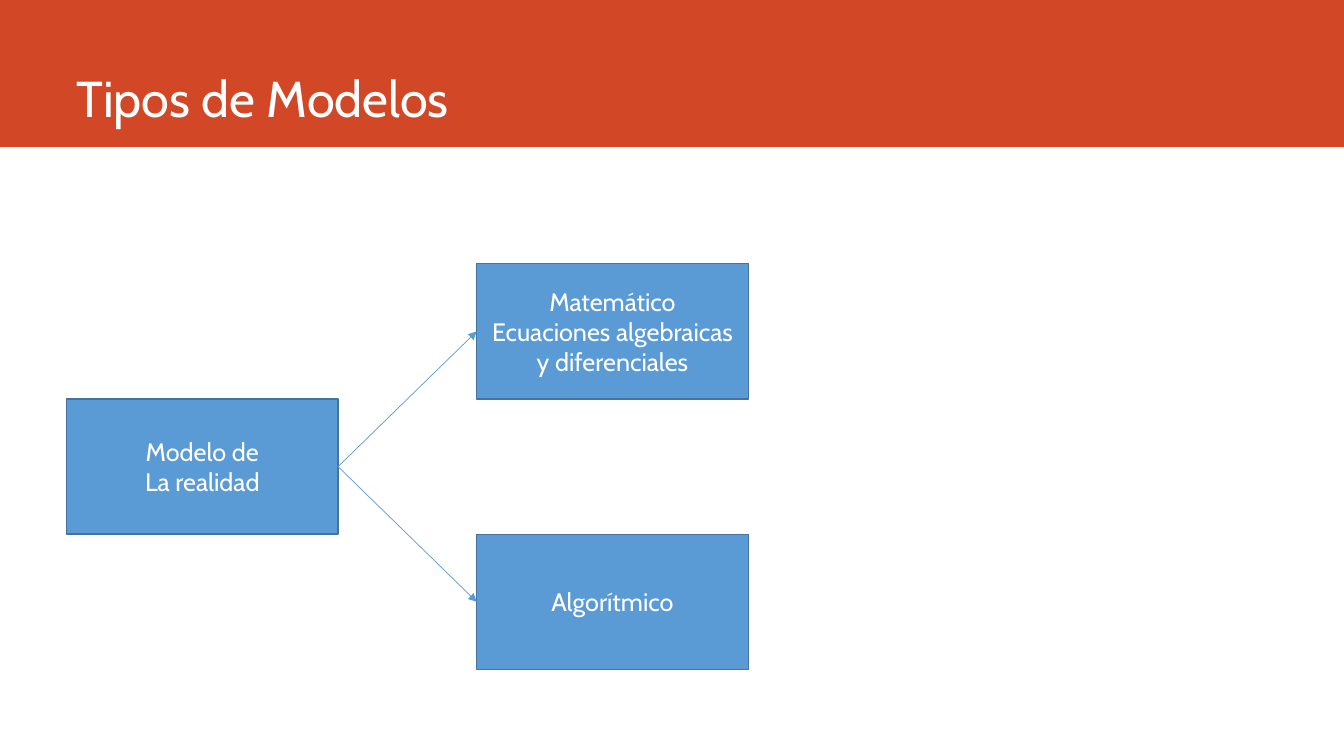
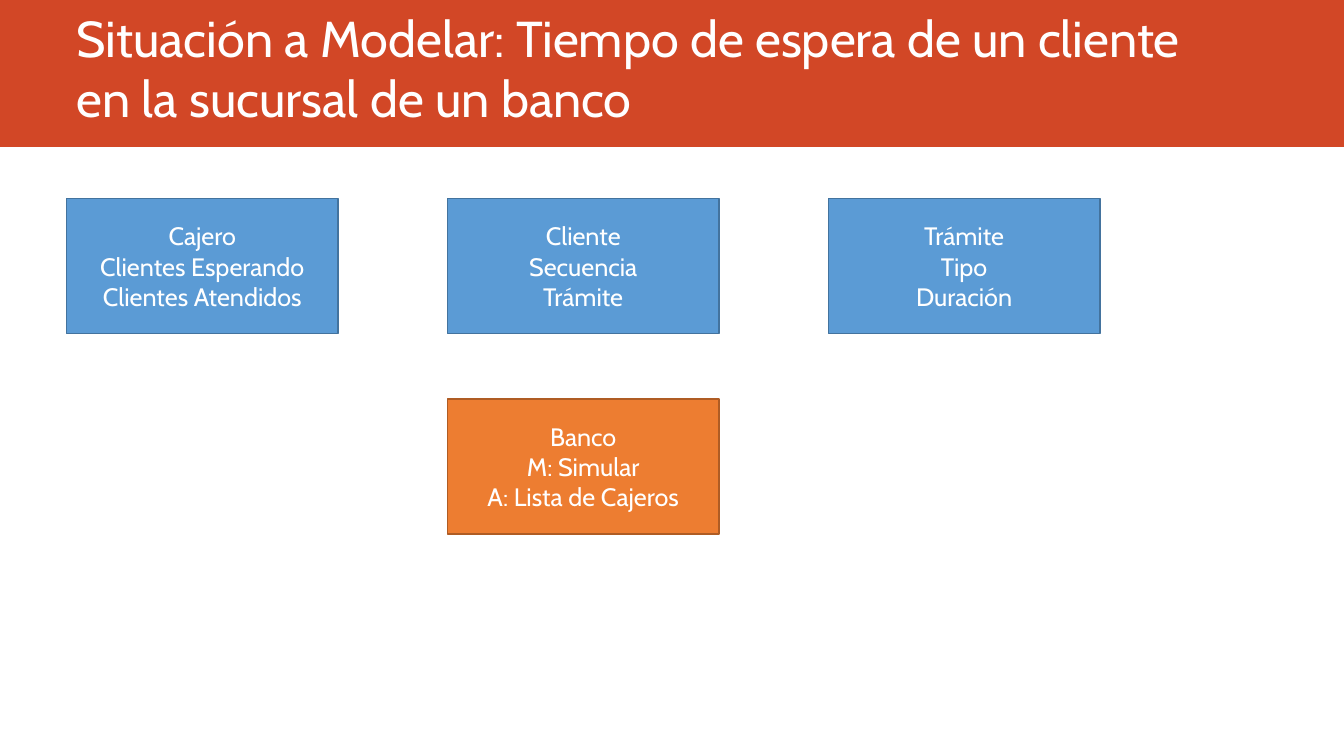
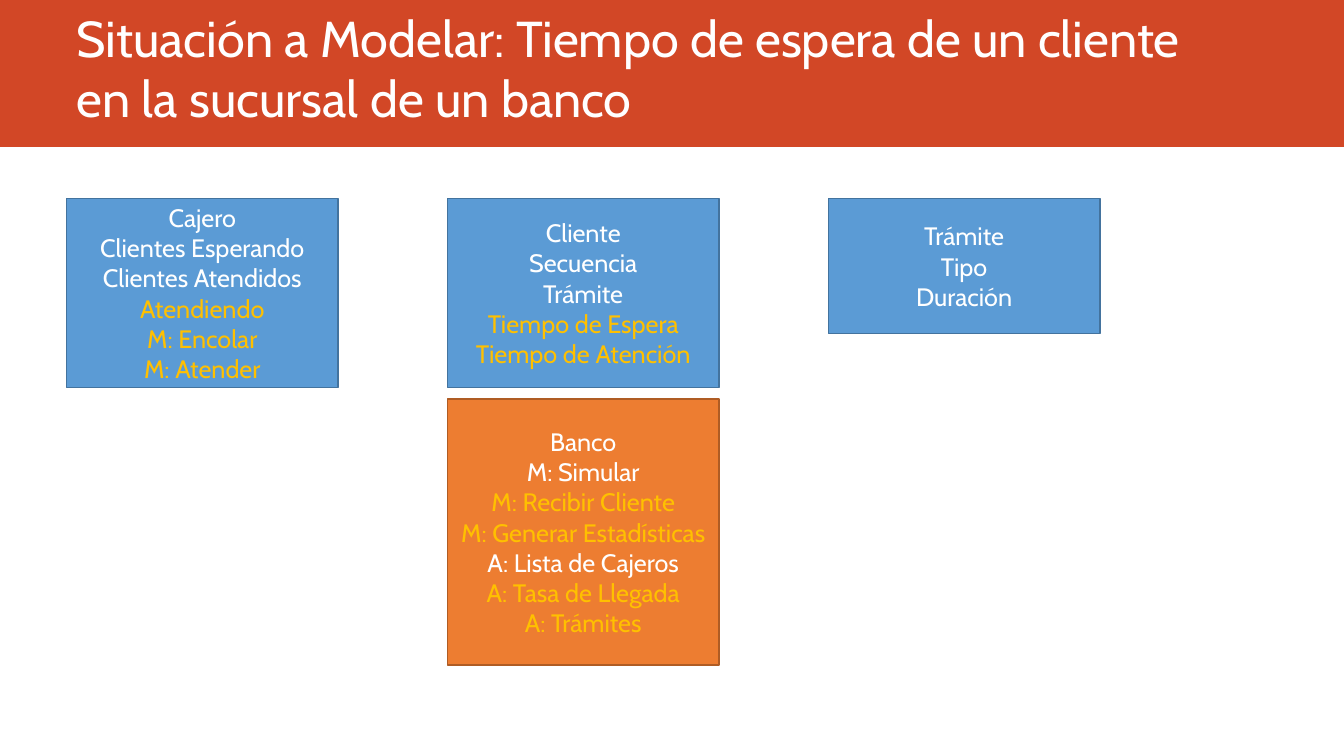
from lxml.etree import SubElement
from pptx import Presentation
from pptx.dml.color import RGBColor
from pptx.enum.shapes import MSO_CONNECTOR, MSO_SHAPE
from pptx.enum.text import MSO_ANCHOR, MSO_AUTO_SIZE, PP_ALIGN
from pptx.oxml.ns import qn
from pptx.util import Pt

# Content: a line starting with NEW is highlighted
NEW = "+"
MODEL_TITLE = "Tipos de Modelos"
REALITY = ["Modelo de", "La realidad"]
MODEL_TYPES = [
    ["Matemático", "Ecuaciones algebraicas y diferenciales"],
    ["Algorítmico"],
]
BANK_TITLE = "Situación a Modelar: Tiempo de espera de un cliente en la sucursal de un banco"
TELLER = ["Cajero", "Clientes Esperando", "Clientes Atendidos"]
CLIENT = ["Cliente", "Secuencia", "Trámite"]
TASK = ["Trámite", "Tipo", "Duración"]
BANK = ["Banco", "M: Simular", "A: Lista de Cajeros"]
FULL_TELLER = TELLER + ["+Atendiendo", "+M: Encolar", "+M: Atender"]
FULL_CLIENT = CLIENT + ["+Tiempo de Espera", "+Tiempo de Atención"]
FULL_BANK = ["Banco", "M: Simular", "+M: Recibir Cliente", "+M: Generar Estadísticas",
             "A: Lista de Cajeros", "+A: Tasa de Llegada", "+A: Trámites"]

# Shared style, lengths in points
FONT = "Cabin"
WHITE, HIGHLIGHT, BAND = "FFFFFF", "FFC000", "D24726"
BLUE = ("5B9BD5", "43739E")
ORANGE = ("ED7D31", "AF5C24")
SLIDE_WIDTH, SLIDE_HEIGHT, BAND_HEIGHT = 960, 540, 105
LEFT, BOX_WIDTH, BOX_HEIGHT = 47.5, 194, 96.6
COLUMN_STEP, TALL_HEIGHT, BANK_HEIGHT = 272.1, 135, 190
CLASS_TOP, MIDDLE_TOP, TYPE_LEFT = 141.8, 285, 340.5


def color(value):
    return RGBColor.from_string(value)


def style_font(font, size, value):
    font.name, font.size = FONT, Pt(size)
    font.color.rgb = color(value)


def add_band(page, layout):
    band = page.shapes.add_shape(MSO_SHAPE.RECTANGLE, 0, 0, Pt(SLIDE_WIDTH), Pt(BAND_HEIGHT))
    band.shadow.inherit = False
    band.fill.solid()
    band.fill.fore_color.rgb = color(BAND)
    band.line.fill.background()
    layout.shapes.element.insert(2, band.element)


def add_page(deck, title):
    page = deck.slides.add_slide(deck.slide_layouts[5])
    box = page.shapes.title
    box.left, box.top, box.width, box.height = Pt(LEFT), Pt(0), Pt(847), Pt(95)
    frame = box.text_frame
    frame.text = title
    frame.word_wrap = True
    frame.auto_size = MSO_AUTO_SIZE.NONE
    frame.vertical_anchor = MSO_ANCHOR.BOTTOM
    para = frame.paragraphs[0]
    para.alignment = PP_ALIGN.LEFT
    style_font(para.runs[0].font, 36, WHITE)
    return page


def add_box(page, lines, left, top, height=BOX_HEIGHT, colors=BLUE):
    box = page.shapes.add_shape(MSO_SHAPE.RECTANGLE, Pt(left), Pt(top), Pt(BOX_WIDTH), Pt(height))
    box.shadow.inherit = False
    fill, outline = colors
    box.fill.solid()
    box.fill.fore_color.rgb = color(fill)
    box.line.color.rgb = color(outline)
    box.line.width = Pt(1)
    frame = box.text_frame
    frame.word_wrap = True
    frame.vertical_anchor = MSO_ANCHOR.MIDDLE
    frame.text = "\n".join(line.removeprefix(NEW) for line in lines)
    for line, para in zip(lines, frame.paragraphs):
        para.alignment = PP_ALIGN.CENTER
        style_font(para.runs[0].font, 18, HIGHLIGHT if line.startswith(NEW) else WHITE)
    return box


def add_arrow(page, source, target):
    arrow = page.shapes.add_connector(MSO_CONNECTOR.STRAIGHT, 0, 0, 0, 0)
    arrow.begin_connect(source, 3)
    arrow.end_connect(target, 1)
    arrow.line.color.rgb = color(BLUE[0])
    arrow.line.width = Pt(0.5)
    SubElement(arrow.line._get_or_add_ln(), qn("a:tailEnd"), type="triangle")
    SubElement(arrow.element.spPr, qn("a:effectLst"))


def add_model_page(deck):
    page = add_page(deck, MODEL_TITLE)
    reality = add_box(page, REALITY, LEFT, MIDDLE_TOP)
    tops = (MIDDLE_TOP - BOX_HEIGHT, MIDDLE_TOP + BOX_HEIGHT)
    types = [add_box(page, lines, TYPE_LEFT, top) for lines, top in zip(MODEL_TYPES, tops)]
    for model_type in types:
        add_arrow(page, reality, model_type)
    return page


def add_bank_page(deck, classes, bank, bank_height):
    page = add_page(deck, BANK_TITLE)
    for column, (lines, height) in enumerate(classes):
        add_box(page, lines, LEFT + column * COLUMN_STEP, CLASS_TOP, height)
    add_box(page, bank, LEFT + COLUMN_STEP, MIDDLE_TOP, bank_height, ORANGE)


def main():
    deck = Presentation()
    deck.slide_width, deck.slide_height = Pt(SLIDE_WIDTH), Pt(SLIDE_HEIGHT)
    page = add_model_page(deck)
    add_band(page, page.slide_layout)
    add_bank_page(deck, [(lines, BOX_HEIGHT) for lines in (TELLER, CLIENT, TASK)],
                  BANK, BOX_HEIGHT)
    add_bank_page(deck, [(FULL_TELLER, TALL_HEIGHT), (FULL_CLIENT, TALL_HEIGHT),
                         (TASK, BOX_HEIGHT)], FULL_BANK, BANK_HEIGHT)
    deck.save("out.pptx")


if __name__ == "__main__":
    main()
